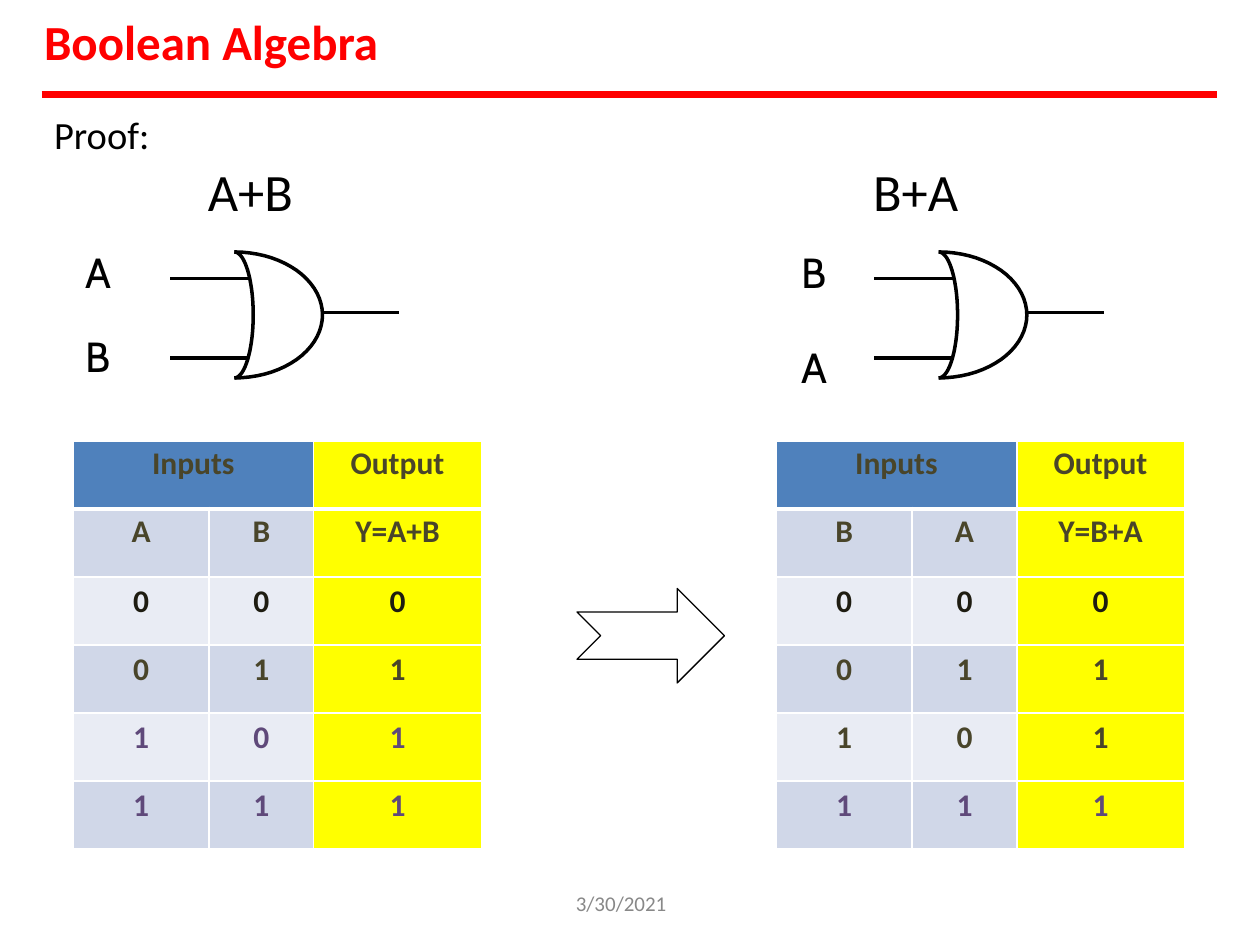
from math import cos, pi, sin

from lxml import etree
from pptx import Presentation
from pptx.dml.color import RGBColor
from pptx.enum.shapes import MSO_CONNECTOR, MSO_SHAPE
from pptx.enum.text import MSO_ANCHOR, MSO_AUTO_SIZE, PP_ALIGN
from pptx.oxml.ns import qn
from pptx.util import Inches, Pt

STRAIGHT = MSO_CONNECTOR.STRAIGHT
NOTCHED_ARROW = MSO_SHAPE.NOTCHED_RIGHT_ARROW
TOP = MSO_ANCHOR.TOP
NO_AUTOFIT = MSO_AUTO_SIZE.NONE
LEFT, CENTER = PP_ALIGN.LEFT, PP_ALIGN.CENTER

BLACK, RED, WHITE = "000000", "FF0000", "FFFFFF"
BLUE, YELLOW, DARK_BAND, LIGHT_BAND = "4F81BC", "FFFF00", "D0D7E8", "E9ECF4"
OLIVE, NEAR_BLACK, PURPLE = "49452A", "1E1C11", "5F497A"

COLUMN_WIDTHS = (1.08, 0.83, 1.33)
ROW_HEIGHT = 0.54


def color(hex_string):
    return RGBColor.from_string(hex_string)


def add_span(para, text, size, hex_string, font="Calibri", bold=False):
    span = para.add_run()
    span.text = text
    span.font.size = Pt(size)
    span.font.name = font
    span.font.bold = bold
    span.font.color.rgb = color(hex_string)


def set_frame(frame, top_inset):
    frame.margin_left = Inches(0.01)
    frame.margin_right = frame.margin_bottom = 0
    frame.margin_top = Inches(top_inset)
    frame.vertical_anchor = TOP
    frame.auto_size = NO_AUTOFIT
    frame.word_wrap = False


def add_text(page, left, top, width, height, lines, size, hex_string=BLACK,
             font="Calibri", top_inset=0.01, gap=0):
    """Place a text box with one paragraph per line, gap points apart."""
    box = page.shapes.add_textbox(Inches(left), Inches(top), Inches(width), Inches(height))
    frame = box.text_frame
    set_frame(frame, top_inset)
    for index, line in enumerate(lines):
        para = frame.add_paragraph() if index else frame.paragraphs[0]
        if index:
            para.space_before = Pt(gap)
        add_span(para, line, size, hex_string, font)


def add_line(page, left, top, length, hex_string=BLACK, weight=2):
    line = page.shapes.add_connector(
        STRAIGHT, Inches(left), Inches(top), Inches(left + length), Inches(top))
    line.line.color.rgb = color(hex_string)
    line.line.width = Pt(weight)
    etree.SubElement(line._element.spPr, qn("a:effectLst"))


def add_half_ellipse(page, left, top, width, height, steps=36):
    """Draw an open arc that bulges to the right."""
    angles = [pi * step / steps - pi / 2 for step in range(steps + 1)]
    points = [(Inches(left + width * cos(angle)),
               Inches(top + height / 2 * (1 + sin(angle)))) for angle in angles]
    builder = page.shapes.build_freeform(*points[0])
    builder.add_line_segments(points[1:], close=False)
    arc = builder.convert_to_shape()
    arc.shadow.inherit = False
    arc.fill.background()
    arc.line.color.rgb = color(BLACK)
    arc.line.width = Pt(2)


def add_or_gate(page, left, top):
    """Draw an OR gate with two input wires and one output wire."""
    wire = 0.62
    for width in (0.15, 0.7):
        add_half_ellipse(page, left + 0.51, top, width, 1)
    for input_top in (0.21, 0.84):
        add_line(page, left, top + input_top, wire)
    add_line(page, left + 1.2, top + 0.48, wire)


def set_borders(cell, weights):
    """Give a cell white borders; weights maps border tags to points."""
    properties = cell._tc.get_or_add_tcPr()
    for position, (tag, weight) in enumerate(weights.items()):
        border = etree.Element(qn("a:" + tag), w=str(Pt(weight)))
        fill = etree.SubElement(border, qn("a:solidFill"))
        etree.SubElement(fill, qn("a:srgbClr"), val=WHITE)
        properties.insert(position, border)


def cell_fill(row, column):
    if column == 2:
        return YELLOW
    if row == 0:
        return BLUE
    return DARK_BAND if row % 2 else LIGHT_BAND


def add_truth_table(page, left, top, first, second, row_colors):
    rows = [("Inputs", "", "Output"), (first, second, f"Y={first}+{second}")]
    rows += [(str(x), str(y), str(x | y)) for x in (0, 1) for y in (0, 1)]
    table = page.shapes.add_table(
        len(rows), len(COLUMN_WIDTHS), Inches(left), Inches(top),
        Inches(sum(COLUMN_WIDTHS)), Inches(ROW_HEIGHT * len(rows))).table
    for column, width in zip(table.columns, COLUMN_WIDTHS):
        column.width = Inches(width)
    for row_index, values in enumerate(rows):
        table.rows[row_index].height = Inches(ROW_HEIGHT)
        for column_index, value in enumerate(values):
            cell = table.cell(row_index, column_index)
            cell.fill.solid()
            cell.fill.fore_color.rgb = color(cell_fill(row_index, column_index))
            set_borders(cell, {"lnL": 1, "lnR": 1,
                               "lnT": 3 if row_index == 1 else 1,
                               "lnB": 3 if row_index == 0 else 1})
            cell.margin_left = cell.margin_right = cell.margin_bottom = 0
            cell.margin_top = Inches(0.03 if row_index < 2 else 0.04)
            para = cell.text_frame.paragraphs[0]
            para.alignment = CENTER
            if value:
                add_span(para, value, 18, row_colors[row_index], bold=True)
    table.cell(0, 0).merge(table.cell(0, 1))


def add_heading(page):
    title = page.shapes.title
    title.left, title.top = Inches(0.34), Inches(0.08)
    title.width, title.height = Inches(2.69), Inches(0.5)
    set_frame(title.text_frame, 0.01)
    para = title.text_frame.paragraphs[0]
    para.alignment = LEFT
    add_span(para, "Boolean Algebra", 28, RED, bold=True)
    add_line(page, 0.33, 0.75, 9.33, RED, 4)


def add_implication_arrow(page, left, top):
    arrow = page.shapes.add_shape(
        NOTCHED_ARROW, Inches(left), Inches(top), Inches(1.17), Inches(0.75))
    arrow.shadow.inherit = False
    arrow.fill.background()
    arrow.line.color.rgb = color(BLACK)
    arrow.line.width = Pt(0.75)


def main():
    deck = Presentation()
    deck.slide_width, deck.slide_height = Inches(10), Inches(7.5)
    page = deck.slides.add_slide(deck.slide_layouts[5])
    add_heading(page)
    add_text(page, 0.42, 0.86, 0.79, 0.4, ["Proof:"], 22, top_inset=0.02)

    add_text(page, 1.64, 1.25, 0.7, 0.53, ["A+B"], 30)
    add_text(page, 0.67, 1.95, 0.23, 1.1, ["A", "B"], 24, font="Cabin", gap=19.2)
    add_or_gate(page, 1.35, 2)
    add_truth_table(page, 0.58, 3.5, "A", "B",
                    (OLIVE, OLIVE, NEAR_BLACK, OLIVE, PURPLE, PURPLE))

    add_text(page, 6.92, 1.25, 0.7, 0.53, ["B+A"], 30)
    for label, top in (("B", 1.95), ("A", 2.7)):
        add_text(page, 6.35, top, 0.23, 0.43, [label], 24, font="Cabin")
    add_or_gate(page, 6.94, 2)
    add_truth_table(page, 6.16, 3.5, "B", "A",
                    (OLIVE, OLIVE, NEAR_BLACK, OLIVE, OLIVE, PURPLE))

    add_implication_arrow(page, 4.58, 4.67)
    add_text(page, 4.56, 7.07, 0.88, 0.19, ["3/30/2021"], 12, "888888", top_inset=0)
    deck.save("out.pptx")


if __name__ == "__main__":
    main()
